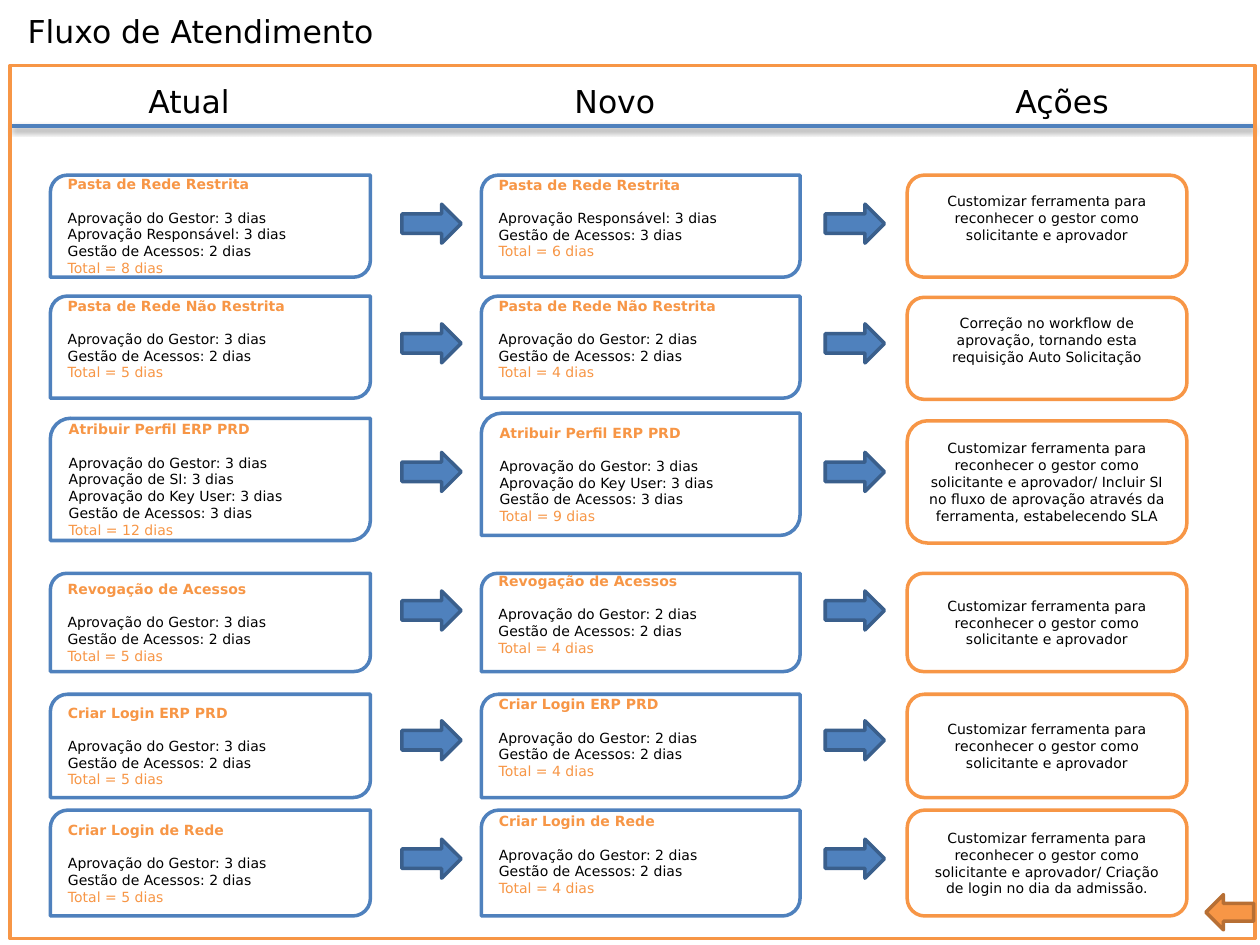
import pptx
import pptx.util
import pptx.dml.color
import pptx.enum.shapes
import pptx.enum.text
import lxml.etree

Inch, Pt = pptx.util.Inches, pptx.util.Pt
Kind = pptx.enum.shapes.MSO_SHAPE
Align = pptx.enum.text.PP_ALIGN
Anchor = pptx.enum.text.MSO_ANCHOR

FONT = "DejaVu Sans"
BLUE, NAVY, ORANGE, BROWN = "4F81BD", "3A5F8C", "F79646", "B76F34"
BLACK, WHITE = "000000", "FFFFFF"
LINE = 9.4  # height of one text line, in points

# Content
TITLE = "Fluxo de Atendimento"
HEADS = [("Atual", 0.83), ("Novo", 4.21), ("Ações", 7.76)]
GESTOR, ACESSO = "Aprovação do Gestor: ", "Gestão de Acessos: "
DONO, KEY, SI = "Aprovação Responsável: ", "Aprovação do Key User: ", "Aprovação de SI: "
ASK = "Customizar ferramenta para reconhecer o gestor como solicitante e aprovador"
FLOWS = [  # name, current steps, new steps, action
    ("Pasta de Rede Restrita", [(GESTOR, 3), (DONO, 3), (ACESSO, 2)],
     [(DONO, 3), (ACESSO, 3)], ASK),
    ("Pasta de Rede Não Restrita", [(GESTOR, 3), (ACESSO, 2)],
     [(GESTOR, 2), (ACESSO, 2)],
     "Correção no workflow de aprovação, tornando esta requisição Auto Solicitação"),
    ("Atribuir Perfil ERP PRD", [(GESTOR, 3), (SI, 3), (KEY, 3), (ACESSO, 3)],
     [(GESTOR, 3), (KEY, 3), (ACESSO, 3)],
     ASK + "/ Incluir SI no fluxo de aprovação através da ferramenta, estabelecendo SLA"),
    ("Revogação de Acessos", [(GESTOR, 3), (ACESSO, 2)],
     [(GESTOR, 2), (ACESSO, 2)], ASK),
    ("Criar Login ERP PRD", [(GESTOR, 3), (ACESSO, 2)],
     [(GESTOR, 2), (ACESSO, 2)], ASK),
    ("Criar Login de Rede", [(GESTOR, 3), (ACESSO, 2)],
     [(GESTOR, 2), (ACESSO, 2)], ASK + "/ Criação de login no dia da admissão."),
]

# Grid: column lefts and widths; per row the box tops, height, arrow top
# and the columns whose text sits one line higher
COLS = [(0.4, 2.54), (3.82, 2.53), (7.2, 2.22)]
ARROWS = [3.19, 6.55]
ROWS = [
    ((1.39, 1.39, 1.39), 0.81, 1.62, (1, 2)),
    ((2.35, 2.35, 2.36), 0.81, 2.57, (0, 1, 2)),
    ((3.32, 3.28, 3.34), 0.97, 3.59, ()),
    ((4.55, 4.55, 4.55), 0.78, 4.69, (1,)),
    ((5.51, 5.51, 5.51), 0.82, 5.72, (1,)),
    ((6.43, 6.43, 6.43), 0.84, 6.66, (1,)),
]

deck = pptx.Presentation()
deck.slide_width, deck.slide_height = Inch(10), Inch(7.5)
slide = deck.slides.add_slide(deck.slide_layouts[6])


def rgb(code):
    return pptx.dml.color.RGBColor.from_string(code)


def style(para, size, color, bold=False):
    for run in para.runs:
        font = run.font
        font.name, font.size, font.bold = FONT, Pt(size), bold
        font.color.rgb = rgb(color)


def shape(kind, box, fill, edge):
    item = slide.shapes.add_shape(kind, *map(Inch, box))
    item.shadow.inherit = False
    if fill:
        item.fill.solid()
        item.fill.fore_color.rgb = rgb(fill)
    else:
        item.fill.background()
    item.line.color.rgb = rgb(edge)
    item.line.width = Pt(2)
    return item


def card(kind, box, edge, text, raised):
    frame = shape(kind, box, WHITE, edge).text_frame
    frame.word_wrap = True
    frame.vertical_anchor = Anchor.MIDDLE
    if raised:
        frame.margin_bottom += Pt(LINE)
    frame.text = text
    return frame.paragraphs


def steps(box, name, tasks, raised):
    total = sum(days for _, days in tasks)
    lines = [name] + [f"{task}{days} dias" for task, days in tasks]
    text = "\n".join(lines + [f"Total = {total} dias"])
    paras = card(Kind.ROUND_2_DIAG_RECTANGLE, box, BLUE, text, raised)
    for para in paras:
        para.alignment = Align.LEFT
        style(para, 8, BLACK)
    style(paras[0], 8, ORANGE, True)
    paras[0].space_after = Pt(LINE)
    style(paras[-1], 8, ORANGE)


def label(text, box, align, wrap=True):
    frame = slide.shapes.add_textbox(*map(Inch, box)).text_frame
    frame.word_wrap = wrap
    frame.text = text
    frame.paragraphs[0].alignment = align
    style(frame.paragraphs[0], 18, BLACK)


# Process rows
for (name, now, new, action), (tops, high, mid, raised) in zip(FLOWS, ROWS):
    boxes = [(left, top, wide, high) for (left, wide), top in zip(COLS, tops)]
    steps(boxes[0], name, now, 0 in raised)
    steps(boxes[1], name, new, 1 in raised)
    para = card(Kind.ROUNDED_RECTANGLE, boxes[2], ORANGE, action, 2 in raised)[0]
    para.alignment = Align.CENTER
    style(para, 8, BLACK)
    for left in ARROWS:
        shape(Kind.RIGHT_ARROW, (left, mid, 0.47, 0.31), BLUE, NAVY)

# Column heads and the rule below them
for head, left in HEADS:
    label(head, (left, 0.6, 1.34, 0.4), Align.CENTER)
rule = slide.shapes.add_connector(
    pptx.enum.shapes.MSO_CONNECTOR.STRAIGHT, *map(Inch, (0.09, 1, 9.95, 1)))
rule.line.color.rgb = rgb(BLUE)
rule.line.width = Pt(2)
NS = "http://schemas.openxmlformats.org/drawingml/2006/main"
rule._element.spPr.append(lxml.etree.fromstring(
    f'<a:effectLst xmlns:a="{NS}"><a:outerShdw blurRad="40000" dist="20000" '
    'dir="5400000" rotWithShape="0"><a:srgbClr val="000000">'
    '<a:alpha val="38000"/></a:srgbClr></a:outerShdw></a:effectLst>'))

# Frame, title and back arrow
shape(Kind.RECTANGLE, (0.08, 0.52, 9.88, 6.93), None, ORANGE)
label(TITLE, (0.12, 0.05, 2.98, 0.4), Align.LEFT, False)
back = shape(Kind.UP_ARROW, (9.62, 7.05, 0.28, 0.38), ORANGE, BROWN)
back.rotation = 270

deck.save("out.pptx")
